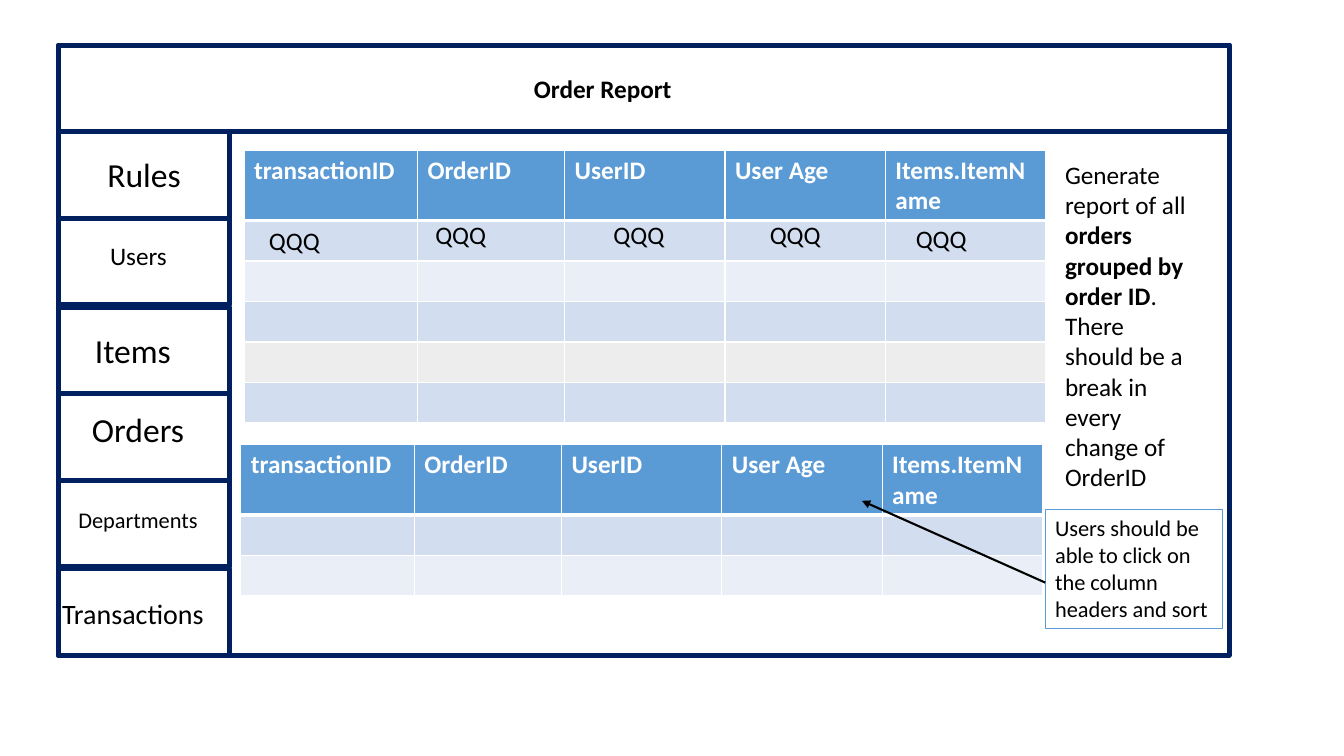
import pptx
import pptx.util
import pptx.dml.color
import pptx.enum.shapes
import pptx.enum.text
import pptx.oxml
import pptx.oxml.ns
from pptx.util import Cm, Pt

FONT = "Calibri"
HEX = {"navy": "002060", "blue": "5B9BD5", "band": "D2DEEF", "pale": "EAEFF7",
       "gray": "EDEDED", "white": "FFFFFF", "black": "000000"}

TITLE = "Order Report"
# text, size, left, top, width
MENU = [("Rules", 24, 1.75, 3.76, 3.76), ("Users", 18, 1.47, 5.92, 4.04),
        ("Items", 24, 1.47, 8.18, 3.76), ("Orders", 24, 1.6, 10.19, 3.76),
        ("Departments", 16, 1.6, 12.62, 3.76),
        ("Transactions", 20, 1.19, 14.91, 4.32)]
HEADS = ["transactionID", "OrderID", "UserID", "User Age", "Items.ItemName"]
COLS = [4.37, 3.71, 4.04, 4.04, 4.04]
# left, top, body row colours
GRIDS = [(6.15, 3.78, ["band", "pale", "band", "gray", "band"]),
         (6.07, 11.2, ["band", "pale"])]
SAMPLE = "QQQ"
SPOTS = [(6.53, 5.56), (10.72, 5.41), (15.21, 5.41), (19.15, 5.41), (22.83, 5.51)]
BRIEF = [("Generate report of all ", False), ("orders grouped by order ID", True),
         (". There should be a break in every change of OrderID", False)]
HINT = "Users should be able to click on the column headers and sort"

LEFT, TOP, WIDE, TALL = 1.47, 1.14, 29.51, 15.37
SIDE, STEP, GAP = 4.32, 2.18, 0.06


def rgb(name):
    """Return the named colour."""
    return pptx.dml.color.RGBColor.from_string(HEX[name])


def style(frame, size, color="black", bold=False, center=False):
    """Format all the text of a frame."""
    frame.word_wrap = True
    for para in frame.paragraphs:
        para.alignment = getattr(pptx.enum.text.PP_ALIGN, "CENTER" if center else "LEFT")
        for run in para.runs:
            run.font.name, run.font.size = FONT, Pt(size)
            run.font.bold, run.font.color.rgb = bold, rgb(color)


def box(slide, left, top, wide, tall, color="navy", line=3.5):
    """Draw an outlined rectangle without a fill."""
    shape = slide.shapes.add_shape(pptx.enum.shapes.MSO_SHAPE.RECTANGLE,
                                   Cm(left), Cm(top), Cm(wide), Cm(tall))
    shape.shadow.inherit = False
    shape.fill.background()
    shape.line.color.rgb, shape.line.width = rgb(color), Pt(line)
    return shape


def label(slide, text, size, left, top, wide, center=False, tall=1.02):
    """Add a text box and return its frame."""
    frame = slide.shapes.add_textbox(Cm(left), Cm(top), Cm(wide), Cm(tall)).text_frame
    frame.text = text
    style(frame, size, center=center)
    return frame


def edge(cell, base):
    """Give a cell white borders, with its own width below."""
    for side, width in [("L", 1), ("R", 1), ("T", 1), ("B", base)]:
        cell._tc.get_or_add_tcPr().append(pptx.oxml.parse_xml(
            f'<a:ln{side} {pptx.oxml.ns.nsdecls("a")} w="{Pt(width)}"><a:solidFill>'
            f'<a:srgbClr val="{HEX["white"]}"/></a:solidFill></a:ln{side}>'))


def grid(slide, left, top, bands):
    """Draw a table with a header and empty coloured rows."""
    tall = [1.77] + [1.02] * len(bands)
    table = slide.shapes.add_table(len(tall), len(COLS), Cm(left), Cm(top),
                                   Cm(sum(COLS)), Cm(sum(tall))).table
    for col, wide in zip(table.columns, COLS):
        col.width = Cm(wide)
    for r, (height, color) in enumerate(zip(tall, ["blue"] + bands)):
        table.rows[r].height = Cm(height)
        for c, head in enumerate(HEADS):
            cell = table.cell(r, c)
            edge(cell, 1 if r else 3)
            cell.fill.solid()
            cell.fill.fore_color.rgb = rgb(color)
            if r == 0:
                cell.text_frame.text = head
                style(cell.text_frame, 18, "white", True)


def arrow(slide, start, end):
    """Draw a black line with an arrowhead at its end."""
    line = slide.shapes.add_connector(pptx.enum.shapes.MSO_CONNECTOR.STRAIGHT,
                                      *(Cm(v) for v in start + end))
    line.line.color.rgb, line.line.width = rgb("black"), Pt(1.5)
    props = line._element.spPr
    for parent, tag in [(line.line._get_or_add_ln(), '<a:tailEnd type="triangle" {}/>'),
                        (props, "<a:effectLst {}/>")]:
        parent.append(pptx.oxml.parse_xml(tag.format(pptx.oxml.ns.nsdecls("a"))))


deck = pptx.Presentation()
deck.slide_width, deck.slide_height = Cm(33.87), Cm(19.05)
slide = deck.slides.add_slide(deck.slide_layouts[5])

title = slide.shapes.title
title.left, title.top, title.width, title.height = Cm(10.72), Cm(1.73), Cm(8.94), Cm(1.02)
title.text_frame.text = TITLE
title.text_frame.vertical_anchor = pptx.enum.text.MSO_ANCHOR.TOP
style(title.text_frame, 18, bold=True, center=True)

box(slide, LEFT, TOP, WIDE, TALL)
box(slide, LEFT, TOP, WIDE, STEP)
for i, (text, size, left, top, wide) in enumerate(MENU):
    # every third button starts after a small gap
    box(slide, LEFT, TOP + STEP * (i + 1) + GAP * ((i + 1) // 3), SIDE, STEP)
    label(slide, text, size, left, top, wide, center=True)

for left, top, bands in GRIDS:
    grid(slide, left, top, bands)
for left, top in SPOTS:
    label(slide, SAMPLE, 18, left, top, 3.2)

brief = label(slide, "", 18, 26.59, 3.89, 3.58, tall=8.71)
for text, bold in BRIEF:
    brief.paragraphs[0].add_run().text = text
style(brief, 18)
for run, (text, bold) in zip(brief.paragraphs[0].runs, BRIEF):
    run.font.bold = bold

hint = box(slide, 26.34, 12.83, 4.47, 3, "blue", 0.75)
hint.text_frame.text = HINT
hint.text_frame.vertical_anchor = pptx.enum.text.MSO_ANCHOR.TOP
style(hint.text_frame, 16)
arrow(slide, (26.34, 14.68), (21.72, 12.62))

deck.save("out.pptx")
